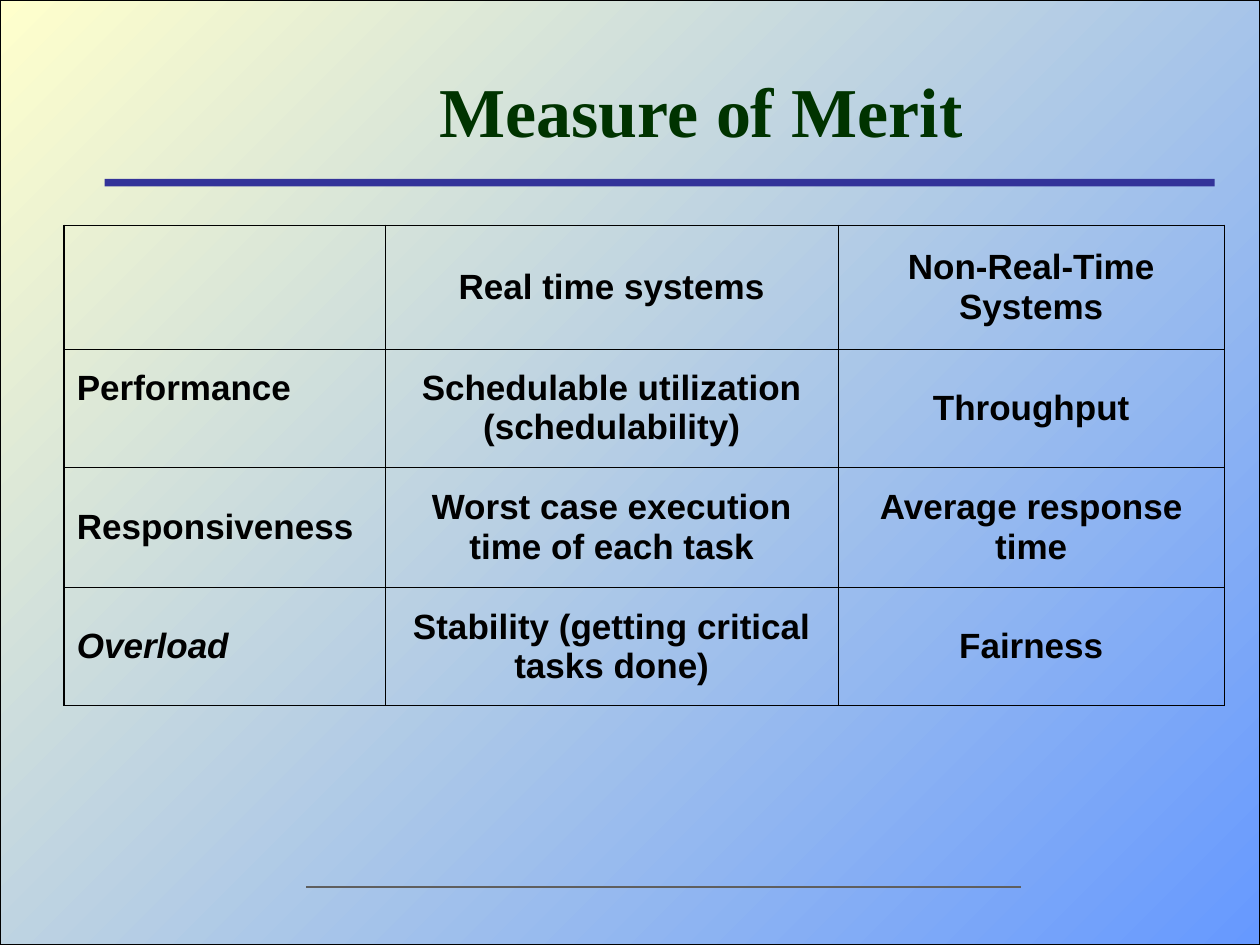
from dataclasses import dataclass

import pptx
import pptx.dml.color
import pptx.enum.shapes
import pptx.enum.text
import pptx.oxml
import pptx.oxml.ns
import pptx.util
from pptx.util import Inches

SHAPES = pptx.enum.shapes.MSO_SHAPE
ALIGN = pptx.enum.text.PP_ALIGN
MIDDLE = pptx.enum.text.MSO_ANCHOR.MIDDLE


@dataclass(frozen=True)
class Theme:
    title_font: str = "Times New Roman"
    body_font: str = "Arial"
    title_size: int = 40
    body_size: int = 20
    title: str = "003300"
    text: str = "000000"
    rule: str = "333399"
    footer: str = "5F5F5F"
    blue: str = "6699FF"
    cream: str = "FFFFCC"
    frame_width: float = 0.75
    footer_width: float = 1.5
    outer_border: float = 1.08
    inner_border: float = 0.45


THEME = Theme()
ROWS = [
    ["", "Real time systems", "Non-Real-Time Systems"],
    ["Performance", "Schedulable utilization (schedulability)", "Throughput"],
    ["Responsiveness", "Worst case execution time of each task", "Average response time"],
    ["Overload", "Stability (getting critical tasks done)", "Fairness"],
]
COLUMN_WIDTHS = [2.55, 3.59, 3.07]
ROW_HEIGHTS = [0.98, 0.94, 0.95, 0.94]


def rgb(value):
    return pptx.dml.color.RGBColor.from_string(value)


def style_font(font, name, size, color):
    font.name = name
    font.size = pptx.util.Pt(size)
    font.bold = True
    font.color.rgb = rgb(color)


def add_rectangle(page, left, top, width, height):
    shape = page.shapes.add_shape(
        SHAPES.RECTANGLE, Inches(left), Inches(top), Inches(width), Inches(height))
    shape.shadow.inherit = False
    return shape


def add_backdrop(page, width, height):
    backdrop = add_rectangle(page, 0, 0, width, height)
    backdrop.fill.gradient()
    backdrop.fill.gradient_angle = 135
    for stop, color in zip(backdrop.fill.gradient_stops, (THEME.blue, THEME.cream)):
        stop.color.rgb = rgb(color)
    backdrop.line.color.rgb = rgb(THEME.text)
    backdrop.line.width = pptx.util.Pt(THEME.frame_width)


def add_title_rule(page, left, top, width, height):
    rule = add_rectangle(page, left, top, width, height)
    rule.fill.solid()
    rule.fill.fore_color.rgb = rgb(THEME.rule)
    rule.line.fill.background()


def add_footer_line(page, left, top, width):
    line = page.shapes.add_connector(
        pptx.enum.shapes.MSO_CONNECTOR.STRAIGHT,
        Inches(left), Inches(top), Inches(left + width), Inches(top))
    line.line.color.rgb = rgb(THEME.footer)
    line.line.width = pptx.util.Pt(THEME.footer_width)
    properties = line._element.spPr
    properties.append(properties.makeelement(pptx.oxml.ns.qn("a:effectLst"), {}))


def place_title(page, text, left, top, width, height):
    title = page.shapes.title
    title.left, title.top = Inches(left), Inches(top)
    title.width, title.height = Inches(width), Inches(height)
    title.text_frame.text = text
    title.text_frame.vertical_anchor = MIDDLE
    para = title.text_frame.paragraphs[0]
    para.alignment = ALIGN.CENTER
    style_font(para.font, THEME.title_font, THEME.title_size, THEME.title)
    page.shapes._spTree.append(title._element)  # bring in front of the backdrop


def set_borders(cell, widths):
    """Draw the left, right, top and bottom borders, given in points."""
    properties = cell._tc.get_or_add_tcPr()
    for index, (side, width) in enumerate(zip("LRTB", widths)):
        properties.insert(index, pptx.oxml.parse_xml(
            f'<a:ln{side} {pptx.oxml.ns.nsdecls("a")} w="{int(pptx.util.Pt(width))}">'
            f'<a:solidFill><a:srgbClr val="{THEME.text}"/></a:solidFill></a:ln{side}>'))


def fill_cell(cell, text, is_label):
    cell.fill.background()
    cell.vertical_anchor = MIDDLE
    cell.text = text
    para = cell.text_frame.paragraphs[0]
    para.alignment = ALIGN.LEFT if is_label else ALIGN.CENTER
    style_font(para.font, THEME.body_font, THEME.body_size, THEME.text)


def add_merit_table(page, left, top):
    last_row, last_column = len(ROWS) - 1, len(COLUMN_WIDTHS) - 1
    table = page.shapes.add_table(
        len(ROWS), len(COLUMN_WIDTHS), Inches(left), Inches(top),
        Inches(sum(COLUMN_WIDTHS)), Inches(sum(ROW_HEIGHTS))).table
    table.first_row = table.horz_banding = False
    for column, width in zip(table.columns, COLUMN_WIDTHS):
        column.width = Inches(width)
    for row, height in zip(table.rows, ROW_HEIGHTS):
        row.height = Inches(height)
    for r, texts in enumerate(ROWS):
        for c, text in enumerate(texts):
            cell = table.cell(r, c)
            fill_cell(cell, text, is_label=c == 0)
            on_edge = (c == 0, c == last_column, r == 0, r == last_row)
            set_borders(cell, [THEME.outer_border if edge else THEME.inner_border
                               for edge in on_edge])
    table.cell(1, 0).margin_bottom = Inches(0.36)  # lifts the label to the first line
    table.cell(last_row, 0).text_frame.paragraphs[0].font.italic = True


def build_merit_slide(deck):
    page = deck.slides.add_slide(deck.slide_layouts[5])
    page.background.fill.solid()
    page.background.fill.fore_color.rgb = rgb(THEME.cream)
    add_backdrop(page, 10, 7.5)
    add_title_rule(page, 0.83, 1.42, 8.81, 0.06)
    add_footer_line(page, 2.43, 7.04, 5.67)
    place_title(page, "Measure of Merit", 1.46, 0.33, 8.21, 1.08)
    add_merit_table(page, 0.51, 1.79)


def main():
    deck = pptx.Presentation()
    deck.slide_width, deck.slide_height = Inches(10), Inches(7.5)
    build_merit_slide(deck)
    deck.save("out.pptx")


if __name__ == "__main__":
    main()
